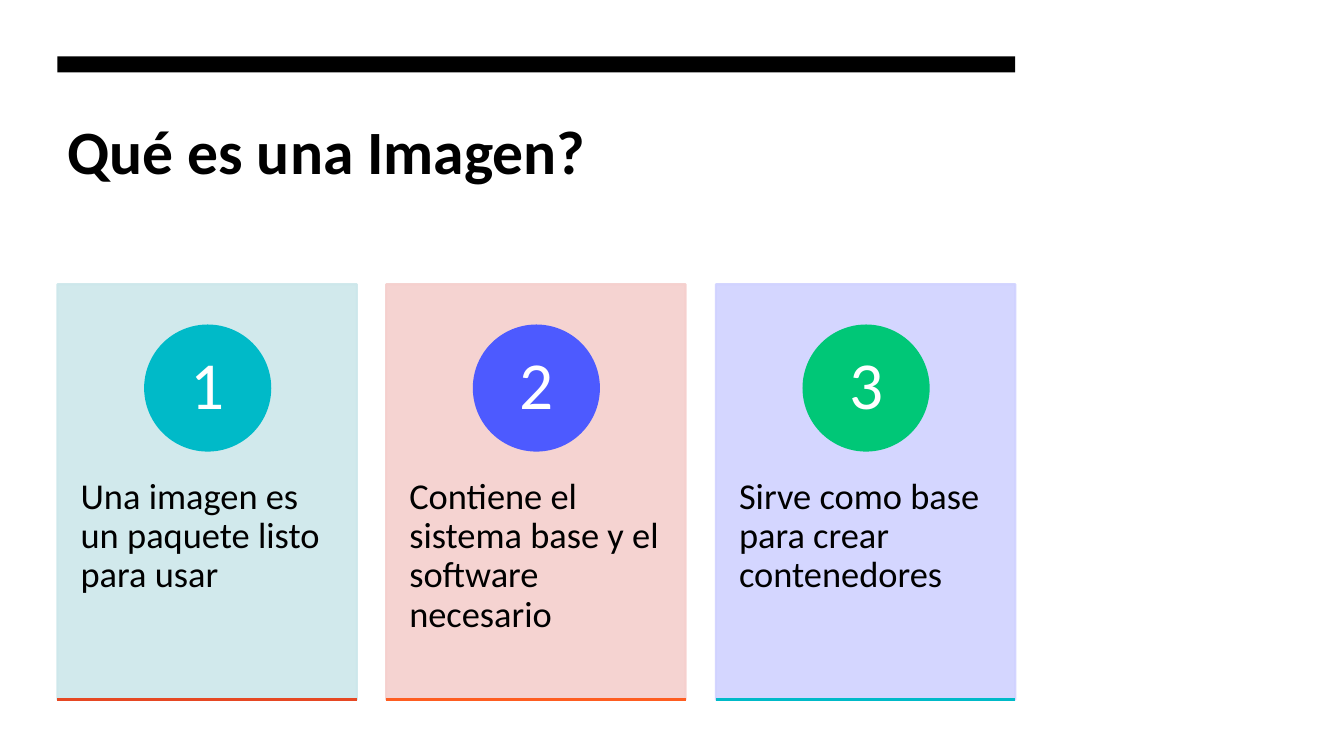
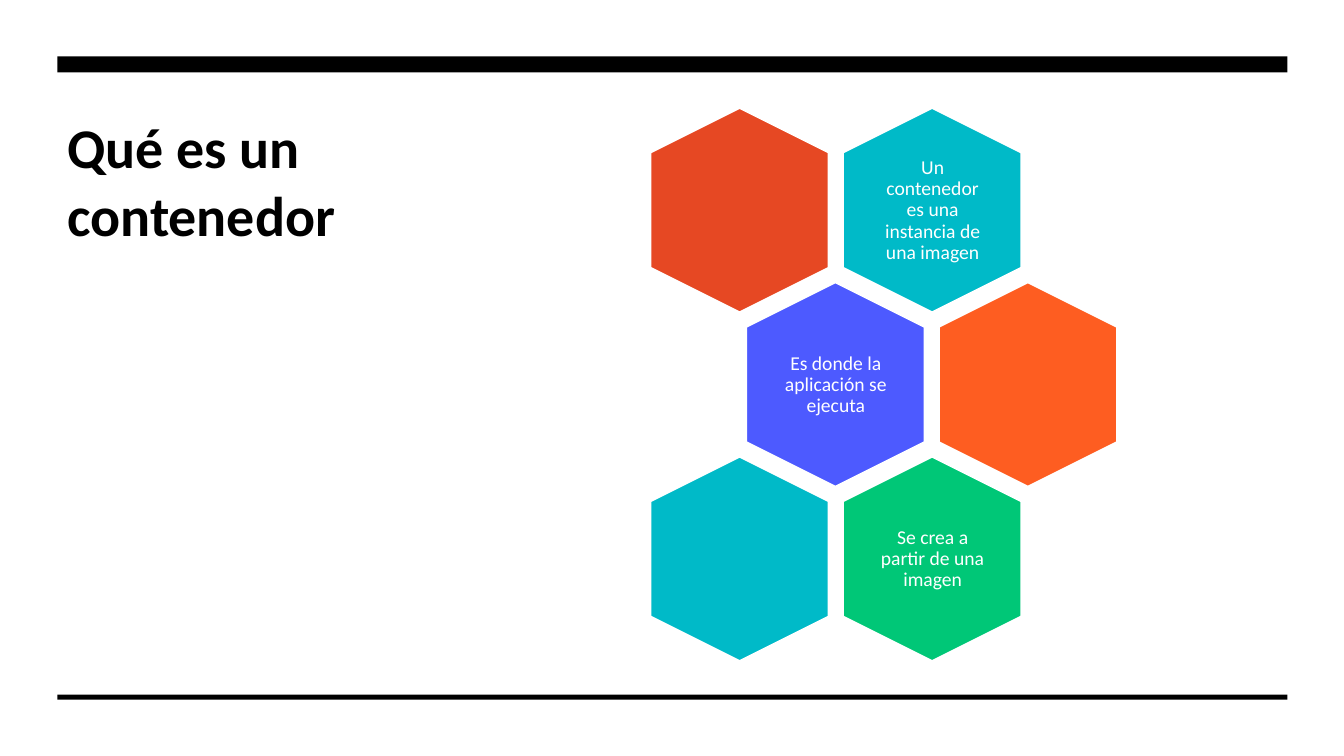
from lxml.etree import SubElement
from pptx import Presentation
from pptx.dml.color import RGBColor
from pptx.enum.shapes import MSO_CONNECTOR, MSO_SHAPE
from pptx.enum.text import MSO_ANCHOR, PP_ALIGN
from pptx.oxml.ns import qn
from pptx.util import Emu, Pt

PX = 9144  # 100 px to the inch
LEFT = 57
FONT = "Calibri"
BLACK, WHITE = "000000", "FFFFFF"
TEAL, BLUE, GREEN = "00BAC8", "4D5AFF", "00C777"
RED, ORANGE = "E64823", "FE5D21"


def px(num):
    return Emu(num * PX)


def rgb(code):
    return RGBColor.from_string(code)


class Deck:
    def __init__(self):
        self.prs = Presentation()
        self.prs.slide_width, self.prs.slide_height = px(1333), px(750)
        self.slide = None

    def page(self, title, size, wide, high, band):
        """Start a slide with its title and top band."""
        self.slide = self.prs.slides.add_slide(self.prs.slide_layouts[6])
        self.text(title, (LEFT, 107, wide, high), size, bold=True)
        self.shape(MSO_SHAPE.RECTANGLE, (LEFT, 56, band, 16), BLACK)

    def shape(self, kind, box, fill, line=None, alpha=None):
        item = self.slide.shapes.add_shape(kind, *map(px, box))
        item.shadow.inherit = False
        item.fill.solid()
        item.fill.fore_color.rgb = rgb(fill)
        if line:
            item.line.color.rgb = rgb(line)
            item.line.width = Pt(1.5)
        else:
            item.line.fill.background()
        if alpha:
            for tone in item._element.spPr.iter(qn("a:srgbClr")):
                SubElement(tone, qn("a:alpha")).set("val", str(alpha * 1000))
        return item

    def rule(self, x, y, wide, color):
        line = self.slide.shapes.add_connector(
            MSO_CONNECTOR.STRAIGHT, px(x), px(y), px(x + wide), px(y))
        line.line.color.rgb = rgb(color)
        line.line.width = Pt(1.5)
        SubElement(line._element.spPr, qn("a:effectLst"))

    def text(self, words, box, size, **style):
        item = self.slide.shapes.add_textbox(*map(px, box))
        self.label(item, words, size, **style)

    def label(self, item, words, size, color=BLACK, bold=False,
              mid=False, inset=(10, 5), space=1.0):
        frame = item.text_frame
        frame.word_wrap = True
        frame.margin_left = frame.margin_right = px(inset[0])
        frame.margin_top = frame.margin_bottom = px(inset[1])
        frame.vertical_anchor = MSO_ANCHOR.MIDDLE if mid else MSO_ANCHOR.TOP
        para = frame.paragraphs[0]
        para.alignment = PP_ALIGN.CENTER if mid else PP_ALIGN.LEFT
        para.line_spacing = space
        run = para.add_run()
        run.text = words
        run.font.name, run.font.size, run.font.bold = FONT, Pt(size), bold
        run.font.color.rgb = rgb(color)

    def card(self, x, num, words, back, dot, edge):
        """Tinted panel with a numbered circle and a bottom edge."""
        wide, disc = 297, 124
        self.shape(MSO_SHAPE.RECTANGLE, (x, 282, wide, 412), back, back, 90)
        self.text(words, (x, 438, wide, 247), 26, inset=(23, 36), space=0.9)
        spot = self.shape(MSO_SHAPE.OVAL,
                          (x + (wide - disc) // 2 + 1, 323, disc, disc), dot, dot)
        self.label(spot, str(num), 48, WHITE, mid=True, inset=(10, 1), space=0.9)
        self.rule(x, 694, wide, edge)

    def cell(self, row, col, fill, words):
        """Upright hexagon; odd rows move half a step right."""
        x, y = 632 + 191 * col + 95 * (row % 2), 120 + 173 * row
        self.shape(MSO_SHAPE.HEXAGON, (x, y, 203, 177), fill, WHITE).rotation = 90
        if words:
            self.text(words, (x + 41, y + 19, 122, 140), 14, color=WHITE,
                      mid=True, inset=(6, 6), space=0.9)


def main():
    deck = Deck()

    # Slide 1: three numbered cards
    deck.page("Qué es una Imagen?", 44, 950, 160, 950)
    cards = [
        ("Una imagen es un paquete listo para usar", "CCE7EB", TEAL, RED),
        ("Contiene el sistema base y el software necesario",
         "F5CFCD", BLUE, ORANGE),
        ("Sirve como base para crear contenedores", "D0D2FF", GREEN, TEAL),
    ]
    for i, card in enumerate(cards):
        deck.card(LEFT + i * 653 // 2, i + 1, *card)

    # Slide 2: honeycomb
    deck.page("Qué es un contenedor", 40, 345, 445, 1220)
    deck.shape(MSO_SHAPE.RECTANGLE, (LEFT, 689, 1220, 5), BLACK)
    comb = [
        [(RED, ""), (TEAL, "Un contenedor es una instancia de una imagen")],
        [(BLUE, "Es donde la aplicación se ejecuta"), (ORANGE, "")],
        [(TEAL, ""), (GREEN, "Se crea a partir de una imagen")],
    ]
    for row, cells in enumerate(comb):
        for col, (fill, words) in enumerate(cells):
            deck.cell(row, col, fill, words)

    deck.prs.save("out.pptx")


if __name__ == "__main__":
    main()
